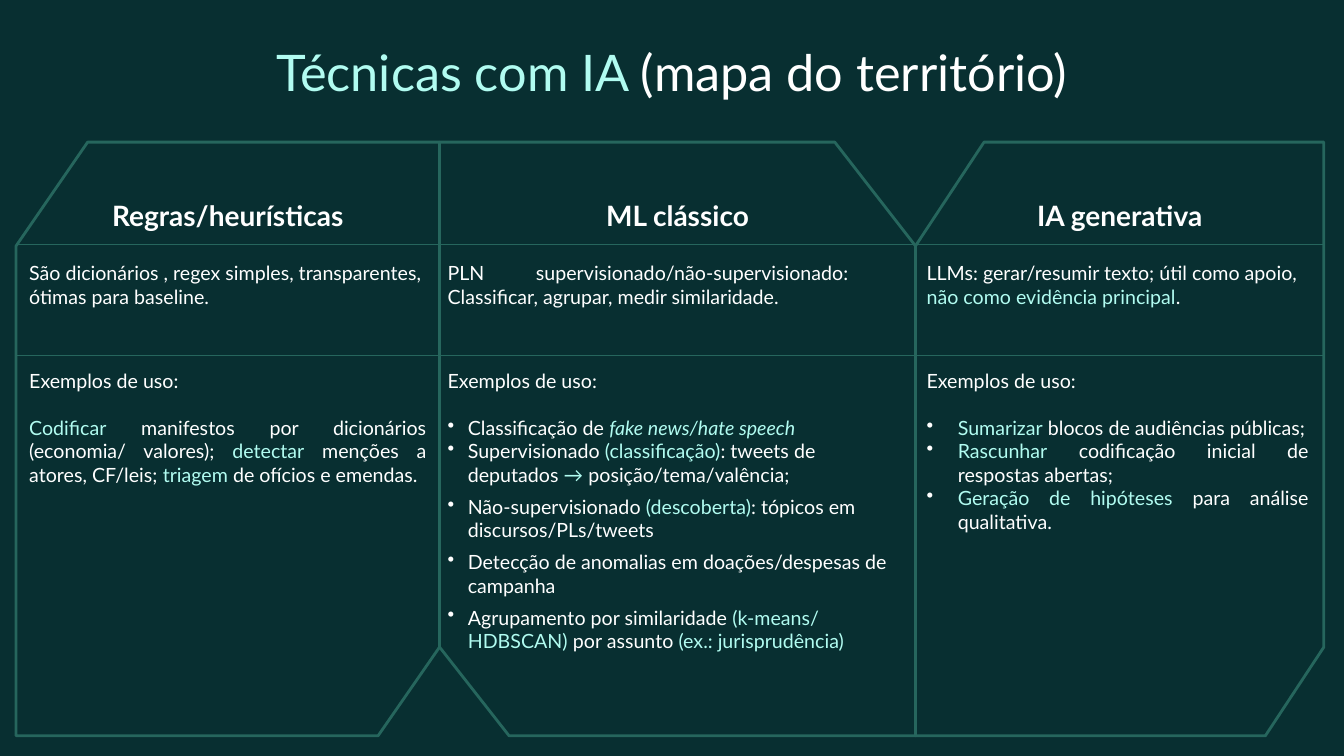
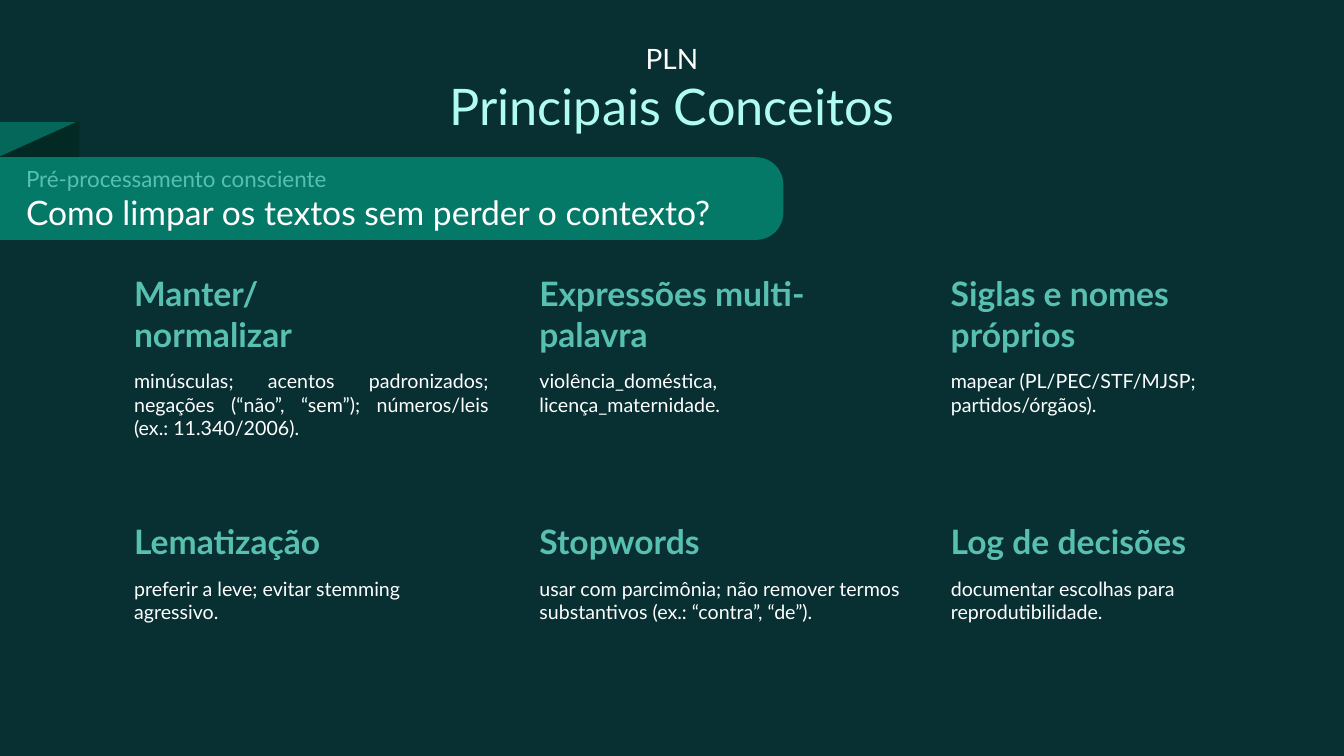
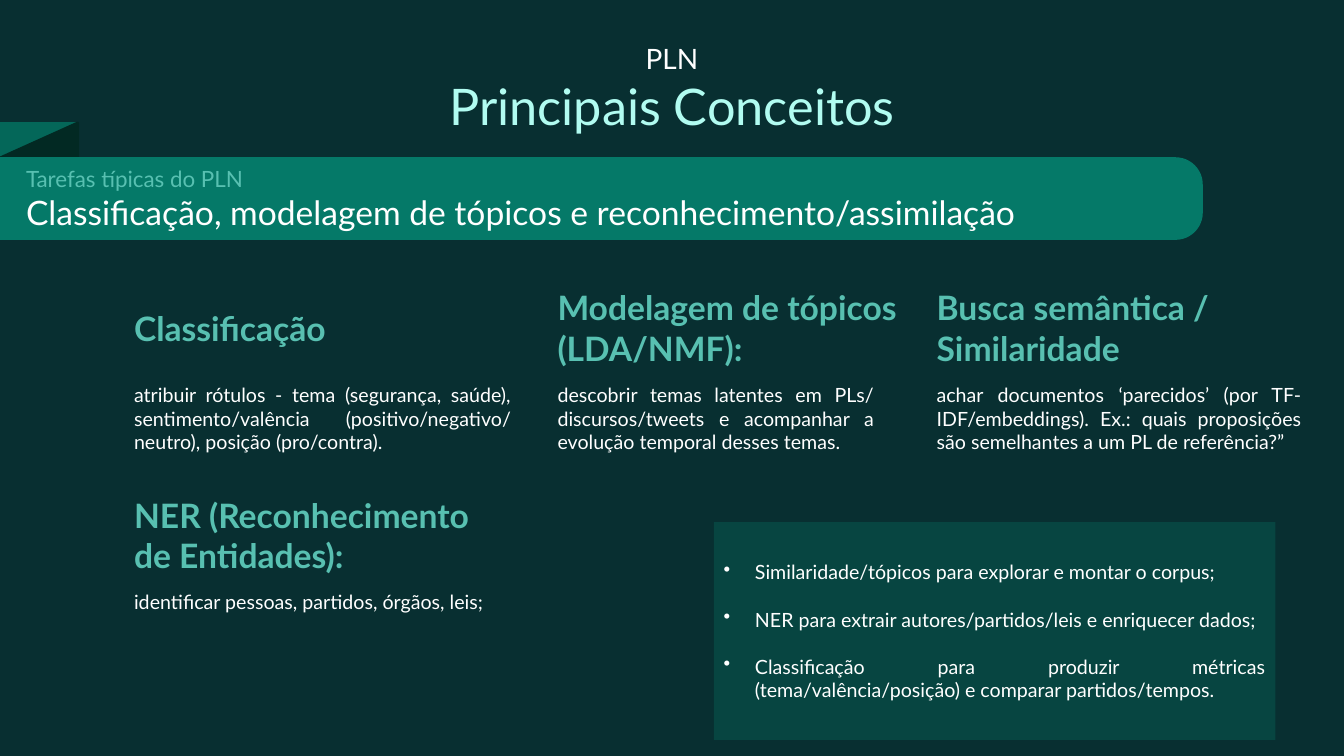
from lxml import etree
from pptx import Presentation
from pptx.dml.color import RGBColor
from pptx.enum.shapes import MSO_CONNECTOR, MSO_SHAPE
from pptx.enum.text import MSO_ANCHOR, PP_ALIGN
from pptx.oxml.ns import qn
from pptx.util import Inches, Pt

LINE = MSO_CONNECTOR.STRAIGHT
RECT, ROUND = MSO_SHAPE.RECTANGLE, MSO_SHAPE.ROUNDED_RECTANGLE
TOP, MIDDLE, BOTTOM = MSO_ANCHOR.TOP, MSO_ANCHOR.MIDDLE, MSO_ANCHOR.BOTTOM
LEFT, CENTER, JUSTIFY = PP_ALIGN.LEFT, PP_ALIGN.CENTER, PP_ALIGN.JUSTIFY

FONT = "Lato"
BG, WHITE, MINT, TEAL = "082F31", "FFFFFF", "B1FCF1", "58C0B1"
FRAME, BAND, FOLD, FOLD_SHADE = "26665D", "057968", "046759", "022923"
SECTION_GAP, LINE_GAP, SMALL_GAP = 43.2, 16.8, 6
PAD = (0.13, 0.13)


def rgb(value):
    return RGBColor.from_string(value)


def paint(shape, fill=None, line=None, width=2):
    shape.shadow.inherit = False
    if fill:
        shape.fill.solid()
        shape.fill.fore_color.rgb = rgb(fill)
    else:
        shape.fill.background()
    if line:
        shape.line.color.rgb = rgb(line)
        shape.line.width = Pt(width)
    else:
        shape.line.fill.background()


def add_run(p, text, size=14, color=WHITE, **style):
    r = p.add_run()
    r.text = text
    r.font.color.rgb = rgb(color)
    for name, value in {"name": FONT, "size": Pt(size), **style}.items():
        setattr(r.font, name, value)


def add_bullet(p, indent):
    pPr = p._p.get_or_add_pPr()
    pPr.set("marL", str(Inches(indent)))
    pPr.set("indent", str(-Inches(indent)))
    clr = etree.SubElement(pPr, qn("a:buClr"))
    etree.SubElement(clr, qn("a:srgbClr"), val=WHITE)
    etree.SubElement(pPr, qn("a:buChar"), char="•")


def para(text, size=14, color=WHITE, align=LEFT, gap=0, indent=0,
         accent_style=None, **style):
    return dict(text=text, size=size, color=color, align=align, gap=gap,
                indent=indent, accent_style=accent_style or {}, style=style)


def write(tf, paras, anchor=TOP, pad=PAD):
    tf.word_wrap = True
    tf.vertical_anchor = anchor
    tf.margin_left = tf.margin_right = Inches(pad[0])
    tf.margin_top = tf.margin_bottom = Inches(pad[1])
    for i, item in enumerate(paras):
        p = tf.add_paragraph() if i else tf.paragraphs[0]
        if item["indent"]:
            add_bullet(p, item["indent"])
        p.alignment = item["align"]
        if item["gap"]:
            p.space_before = Pt(item["gap"])
        for n, part in enumerate(item["text"].split("|")):
            if part:
                accent = n % 2
                style = {**item["style"], **(item["accent_style"] if accent else {})}
                add_run(p, part, item["size"], MINT if accent else item["color"], **style)


def add_text(s, box, paras, **options):
    sp = s.shapes.add_textbox(*map(Inches, box))
    write(sp.text_frame, paras, **options)


def add_outline(s, points, close=True, **look):
    pts = [(Inches(x), Inches(y)) for x, y in points]
    builder = s.shapes.build_freeform(*pts[0], scale=1.0)
    builder.add_line_segments(pts[1:], close=close)
    paint(builder.convert_to_shape(), **look)


def add_rule(s, x, y, width):
    line = s.shapes.add_connector(LINE, *map(Inches, (x, y, x + width, y)))
    line.line.color.rgb = rgb(FRAME)
    line.line.width = Pt(0.75)
    etree.SubElement(line._element.spPr, qn("a:effectLst"))


def add_slide(prs):
    s = prs.slides.add_slide(prs.slide_layouts[6])
    s.background.fill.solid()
    s.background.fill.fore_color.rgb = rgb(BG)
    return s


def add_title(s, *paras):
    add_text(s, (1.05, 0.28, 11.23, 0.84), paras)


def technique_column(s, x, y, width, cuts, mirrored, heading, body, shift):
    top_cut, bottom_cut = cuts
    corners = [(width, 0), (top_cut, 0), (0, 1.03), (0, 5.89),
               (width - bottom_cut, 5.89), (width, 5.01)]
    add_outline(s, [(x + (width - dx if mirrored else dx), y + dy)
                    for dx, dy in corners], line=FRAME)
    add_text(s, (x, y - 0.02, width, 1.04),
             [para(heading, 20, align=CENTER, bold=True)], anchor=BOTTOM)
    add_text(s, (x + shift, y + 1.05, width, 4.56), body)


def techniques_slide(prs):
    s = add_slide(prs)
    add_title(s, para("|Técnicas com IA |(mapa do território)", 36, align=CENTER))
    examples = para("Exemplos de uso:", gap=SECTION_GAP)
    columns = [
        (4.2, (0.71, 0.61), "Regras/heurísticas", 0, [
            para("São dicionários , regex simples, transparentes, ótimas para baseline."),
            examples,
            para("|Codificar| manifestos por dicionários (economia/ valores); |detectar| "
                 "menções a atores, CF/leis; |triagem| de ofícios e emendas.",
                 align=JUSTIFY, gap=LINE_GAP)]),
        (4.72, (0.8, 0.69), "ML clássico", -0.05, [
            para("PLN supervisionado/não-supervisionado:\t Classificar, agrupar, "
                 "medir similaridade.", align=JUSTIFY),
            examples,
            para("Classificação de |fake news/hate speech", indent=0.2, gap=LINE_GAP,
                 accent_style={"italic": True}),
            para("Supervisionado |(classificação)|: tweets de deputados |→| "
                 "posição/tema/valência;", indent=0.2),
            para("Não-supervisionado |(descoberta)|: tópicos em discursos/PLs/tweets",
                 indent=0.2, gap=SMALL_GAP),
            para("Detecção de anomalias em doações/despesas de campanha",
                 indent=0.2, gap=SMALL_GAP),
            para("Agrupamento por similaridade |(k-means/ HDBSCAN) |por assunto "
                 "|(ex.: jurisprudência)", indent=0.2, gap=SMALL_GAP)]),
        (4.05, (0.68, 0.58), "IA generativa", -0.02, [
            para("LLMs: gerar/resumir texto; útil como apoio, "
                 "|não como evidência principal|."),
            examples,
            para("|Sumarizar| blocos de audiências públicas;",
                 align=JUSTIFY, indent=0.31, gap=LINE_GAP),
            para("|Rascunhar| codificação inicial de respostas abertas;",
                 align=JUSTIFY, indent=0.31),
            para("|Geração de hipóteses |para análise qualitativa.",
                 align=JUSTIFY, indent=0.31)]),
    ]
    left, top = 0.16, 1.41
    x = left
    for i, (width, cuts, heading, shift, body) in enumerate(columns):
        technique_column(s, x, top, width, cuts, i == 1, heading, body, shift)
        x += width
    for y in (2.43, 3.53):
        add_rule(s, left, y, x - left)


def ribbon(s, x, y, width, label, question):
    fold = s.shapes.add_shape(RECT, *map(Inches, (x, y, 0.8, 0.43)))
    paint(fold, FOLD, FOLD)
    add_outline(s, [(x + 0.82, y), (x + 0.82, y + 0.44), (x, y + 0.81), (x, y + 0.37)],
                fill=FOLD_SHADE, line=FOLD_SHADE)
    band = s.shapes.add_shape(ROUND, *map(Inches, (x - 0.32, y + 0.34, width, 0.82)))
    band.adjustments[0] = 0.33
    paint(band, BAND)
    add_text(s, (x + 0.21, y + 0.37, 11.4, 0.77),
             [para(label, 16, TEAL), para(question, 24)],
             anchor=MIDDLE, pad=(0.1, 0.05))


def concept(s, x, y, heading_width, width, heading, text, align=LEFT, raised=0):
    add_text(s, (x, y - raised, heading_width, 0.68),
             [para(line, 24, TEAL, bold=True) for line in heading.split("\n")],
             anchor=BOTTOM)
    add_text(s, (x, y + 0.57, width, 1.61), [para(text, align=align)])


def callout(s, box, items):
    sp = s.shapes.add_shape(RECT, *map(Inches, box))
    paint(sp, BAND)
    color = sp._element.spPr.find(qn("a:solidFill"))[0]
    etree.SubElement(color, qn("a:alpha"), val="30000")
    write(sp.text_frame,
          [para(text, align=JUSTIFY, indent=0.31, gap=LINE_GAP if i else 0)
           for i, text in enumerate(items)], anchor=MIDDLE, pad=(0.1, 0.05))


def concepts_slide(prs, band_width, label, question, concepts):
    s = add_slide(prs)
    add_title(s, para("PLN", 20, align=CENTER),
              para("Principais Conceitos", 36, MINT, align=CENTER))
    ribbon(s, -0.05, 1.22, band_width, label, question)
    for item in concepts:
        concept(s, *item)
    return s


def cleaning_slide(prs):
    x1, x2, x3 = 1.2, 5.22, 9.3
    y1, y2 = 2.96, 5.02
    concepts_slide(
        prs, 8.14, "Pré-processamento consciente",
        "Como limpar os textos sem perder o contexto?", [
            (x1, y1, 3.14, 3.78, "Manter/\nnormalizar",
             "minúsculas; acentos padronizados; negações (“não”, “sem”); "
             "números/leis (ex.: 11.340/2006).", JUSTIFY),
            (x2, y1, 2.9, 3.78, "Expressões multi-palavra",
             "violência_doméstica, licença_maternidade."),
            (x3, y1, 2.9, 3.78, "Siglas e nomes próprios",
             "mapear (PL/PEC/STF/MJSP; partidos/órgãos)."),
            (x1, y2, 2.9, 3.78, "Lematização",
             "preferir a leve; evitar stemming agressivo."),
            (x2, y2, 2.9, 3.89, "Stopwords",
             "usar com parcimônia; não remover termos substantivos "
             "(ex.: “contra”, “de”)."),
            (x3, y2, 2.9, 3.19, "Log de decisões",
             "documentar escolhas para reprodutibilidade."),
        ])


def tasks_slide(prs):
    x1, x2, x3 = 1.2, 5.4, 9.16
    y1, y2 = 3.1, 5.16
    s = concepts_slide(
        prs, 12.3, "Tarefas típicas do PLN",
        "Classificação, modelagem de tópicos e reconhecimento/assimilação", [
            (x1, y1, 3.14, 4, "Classificação",
             "atribuir rótulos - tema (segurança, saúde), sentimento/valência "
             "(positivo/negativo/ neutro), posição (pro/contra).", JUSTIFY, 0.2),
            (x2, y1, 3.74, 3.4, "Modelagem de tópicos (LDA/NMF):",
             "descobrir temas latentes em PLs/ discursos/tweets e acompanhar a "
             "evolução temporal desses temas.", JUSTIFY),
            (x3, y1, 3.5, 3.88, "Busca semântica / Similaridade",
             "achar documentos ‘parecidos’ (por TF-IDF/embeddings). Ex.: quais "
             "proposições são semelhantes a um PL de referência?”", JUSTIFY),
            (x1, y2, 4, 4, "NER (Reconhecimento de Entidades):",
             "identificar pessoas, partidos, órgãos, leis;", JUSTIFY),
        ])
    callout(s, (7.08, 5.18, 5.57, 2.16), [
        "Similaridade/tópicos para explorar e montar o corpus;",
        "NER para extrair autores/partidos/leis e enriquecer dados;",
        "Classificação para produzir métricas (tema/valência/posição) e comparar "
        "partidos/tempos.",
    ])


def main():
    prs = Presentation()
    prs.slide_width, prs.slide_height = Inches(13.33), Inches(7.5)
    techniques_slide(prs)
    cleaning_slide(prs)
    tasks_slide(prs)
    prs.save("out.pptx")


if __name__ == "__main__":
    main()
